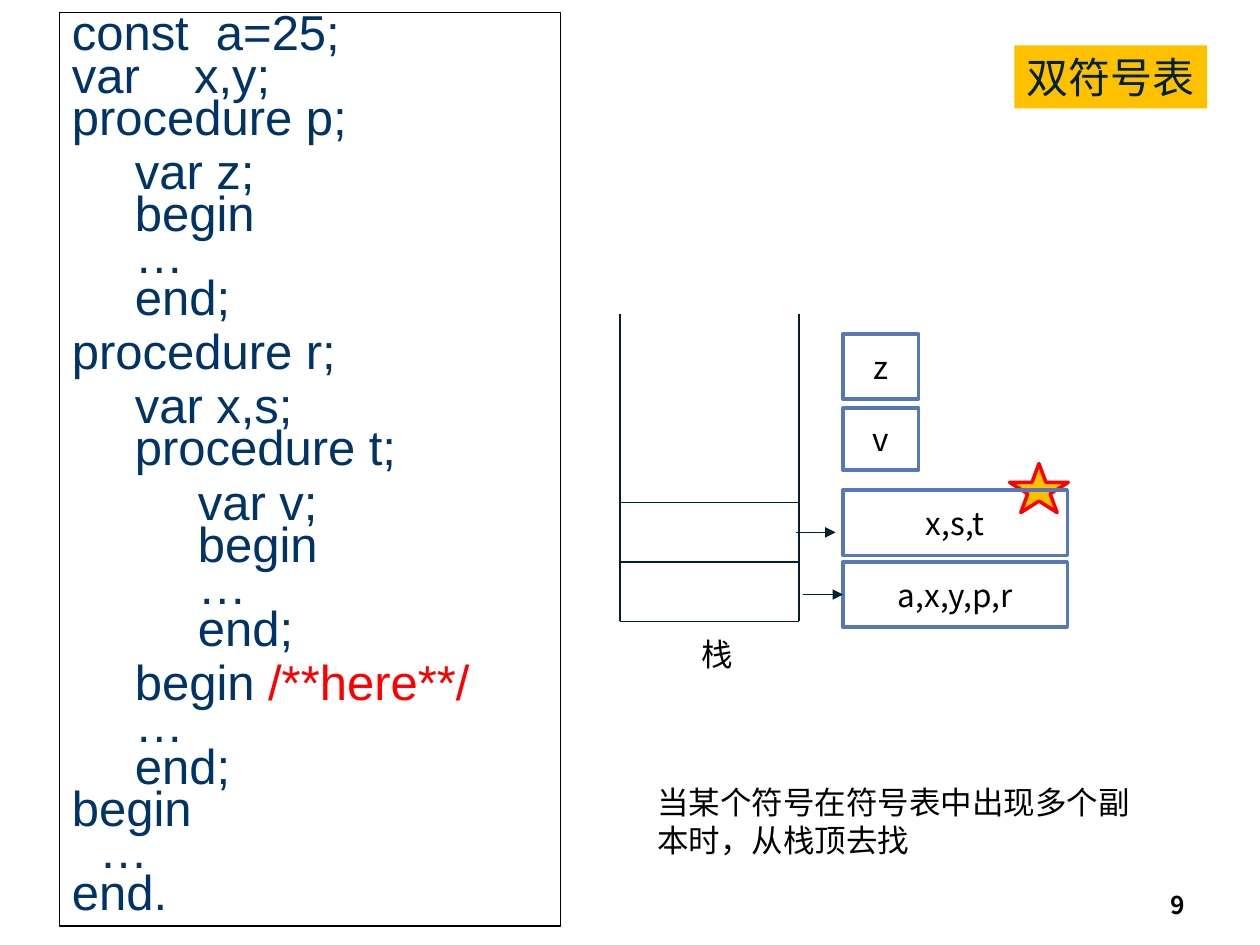
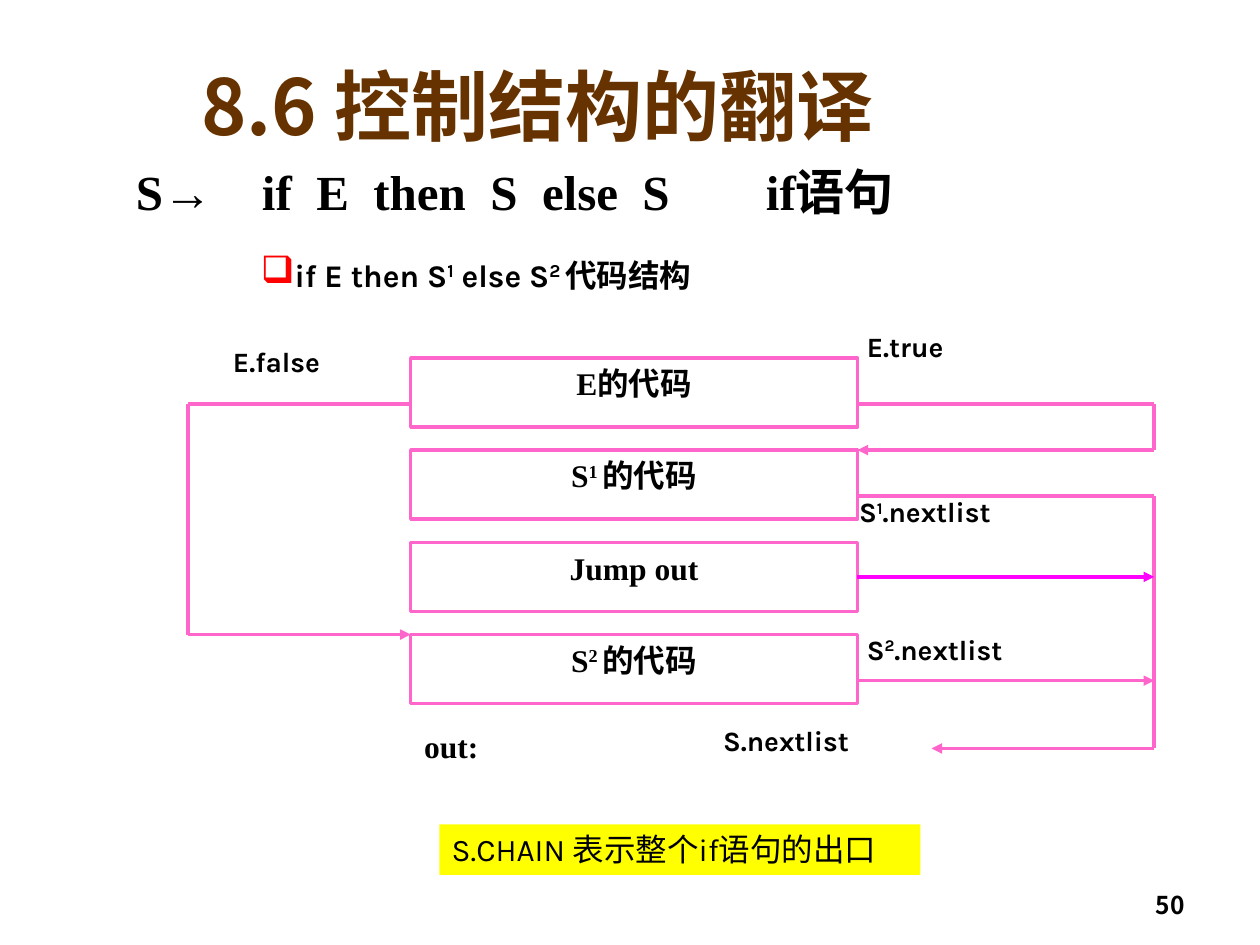
from lxml.etree import SubElement
from pptx import Presentation
from pptx.dml.color import RGBColor
from pptx.enum.shapes import MSO_CONNECTOR, MSO_SHAPE
from pptx.enum.text import MSO_ANCHOR as Anchor, PP_ALIGN as Align
from pptx.oxml.ns import qn
from pptx.util import Pt

# Shared colours and fonts
BLACK, WHITE, RED = "000000", "FFFFFF", "FF0000"
NAVY, INK, BLUE, GOLD = "003366", "00212E", "5677BC", "FFC000"
BROWN, PINK, MAGENTA, YELLOW = "663300", "FF66CC", "FF00FF", "FFFF00"
CJK, KARLA, ARIAL, TIMES = "Noto Sans CJK SC", "Karla", "Arial", "Times New Roman"

CODE = [
    "const  a=25;\nvar    x,y;\nprocedure p;",
    "\tvar z;\n\tbegin\n\t…\n\tend;",
    "procedure r;",
    "\tvar x,s;\n\tprocedure t;",
    "\t\tvar v;\n\t\tbegin\n\t\t…\n\t\tend;",
    "\tbegin ^/**here**/^\n\t…\n\tend;\nbegin\n  …\nend.",
]


def rgb(value):
    return RGBColor.from_string(value)


def write(shape, paragraphs, size, font=KARLA, color=BLACK, bold=False,
          align=Align.LEFT, anchor=Anchor.TOP, wrap=True, mark_color=None):
    """Text between ^ signs takes mark_color, or is raised when there is none."""
    frame = shape.text_frame
    frame.word_wrap = wrap
    frame.vertical_anchor = anchor
    for index, text in enumerate(paragraphs):
        paragraph = frame.add_paragraph() if index else frame.paragraphs[0]
        paragraph.alignment = align
        for line_number, line in enumerate(text.split("\n")):
            if line_number:
                paragraph.add_line_break()
            for position, piece in enumerate(line.split("^")):
                if not piece:
                    continue
                run = paragraph.add_run()
                run.text = piece
                marked = position % 2 == 1
                run.font.size = Pt(size)
                run.font.bold = bold
                run.font.name = font
                run.font.color.rgb = rgb(mark_color if marked and mark_color else color)
                properties = run._r.get_or_add_rPr()
                if marked and not mark_color:
                    properties.set("baseline", "30000")
                SubElement(properties, qn("a:ea")).set("typeface", CJK)
    return shape


def add_text(slide, box, text, size, **style):
    shape = slide.shapes.add_textbox(*map(Pt, box))
    return write(shape, [text], size, **style)


def add_box(slide, box, fill=None, line=None, width=2, kind=MSO_SHAPE.RECTANGLE):
    shape = slide.shapes.add_shape(kind, *map(Pt, box))
    shape.shadow.inherit = False
    if fill:
        shape.fill.solid()
        shape.fill.fore_color.rgb = rgb(fill)
    else:
        shape.fill.background()
    if line:
        shape.line.color.rgb = rgb(line)
        shape.line.width = Pt(width)
    else:
        shape.line.fill.background()
    return shape


def add_line(slide, x1, y1, x2, y2, color, width, arrow=False):
    line = slide.shapes.add_connector(MSO_CONNECTOR.STRAIGHT, *map(Pt, (x1, y1, x2, y2)))
    line.line.color.rgb = rgb(color)
    line.line.width = Pt(width)
    if arrow:
        SubElement(line.line._get_or_add_ln(), qn("a:tailEnd")).set("type", "triangle")
    SubElement(line._element.spPr, qn("a:effectLst"))
    return line


def add_slide(presentation, number):
    slide = presentation.slides.add_slide(presentation.slide_layouts[6])
    add_text(slide, (516, 492, 168, 37), number, 14, font=CJK, bold=True,
             align=Align.RIGHT, anchor=Anchor.BOTTOM)
    return slide


def add_code(slide, box):
    listing = add_box(slide, box, line=BLACK, width=0.75)
    write(listing, CODE, 28, font=ARIAL, color=NAVY, mark_color=RED)
    for index, paragraph in enumerate(listing.text_frame.paragraphs):
        paragraph.line_spacing = Pt(24)
        if index:
            paragraph.space_before = Pt(7)


def add_stack(slide, box):
    left, top, width, height = box
    right, bottom, cell = left + width, top + height, 33.85

    # Open-topped stack with two cells
    for x in (left, right):
        add_line(slide, x, top, x, bottom, INK, 0.75)
    for level in range(3):
        y = bottom - level * cell
        add_line(slide, left, y, right, y, INK, 0.75)
    add_text(slide, (left + 39.5, bottom + 4.3, 32.4, 28.8), "栈", 18, wrap=False)

    # Symbol tables, with the star behind the current one
    add_box(slide, (right + 120.4, top + 85.7, 33.6, 28), GOLD, RED,
            kind=MSO_SHAPE.STAR_5_POINT)
    tables = [("z", 11.5, 43.2, 37.4), ("v", 54, 43.2, 35.3),
              ("x,s,t", 100.8, 128.2, 37.4), ("a,x,y,p,r", 141.8, 128.2, 37.4)]
    for symbols, offset, table_width, table_height in tables:
        table = add_box(slide, (right + 25.2, top + offset, table_width, table_height),
                        line=BLUE)
        write(table, [symbols], 18, font=CJK, align=Align.CENTER, anchor=Anchor.MIDDLE)

    # Pointers from the cells
    add_line(slide, right - 1.5, bottom - 1.5 * cell, right + 21, bottom - 1.5 * cell,
             INK, 0.75, arrow=True)
    y = top + 160.5
    pointer = add_line(slide, right + 2.2, y, right + 25.2, y, INK, 0.75, arrow=True)
    pointer.end_connect(table, 1)


def add_symbol_table_slide(presentation):
    slide = add_slide(presentation, "9")
    add_code(slide, (34, 7.2, 286.5, 522))
    add_stack(slide, (354.25, 179.25, 102.25, 175.75))
    add_text(slide, (368.6, 444.2, 294.5, 50.4),
             "当某个符号在符号表中出现多个副本时，从栈顶去找", 18)
    heading = add_box(slide, (579.6, 26, 110.2, 36), fill=GOLD)
    write(heading, ["双符号表"], 24, color=INK, wrap=False)


def add_flow(slide, box):
    left, top, width, height = box
    right, bottom = left + width, top + height
    pitch, block_left, block_right = 52.7, left + 127.4, left + 382.7

    # Code blocks
    blocks = []
    for row, text in enumerate(["E的代码", "S^1 ^的代码", "Jump out", "S^2 ^的代码"]):
        block = add_box(slide, (block_left, top + row * pitch,
                                block_right - block_left, 39.5), WHITE, PINK)
        blocks.append(write(block, [text], 18, font=TIMES, bold=True, align=Align.CENTER))

    # Jumps: each route is a chain of points, with an arrow on its last leg
    def level(rows):
        return top + rows * pitch

    routes = [
        [(block_left, level(0.5)), (left, level(0.5)),
         (left, level(3)), (block_left, level(3))],
        [(block_right, level(0.5)), (right, level(0.5)),
         (right, level(1)), (block_right, level(1))],
        [(block_right, level(1.5)), (right, level(1.5)),
         (right, bottom), (left + 425, bottom)],
        [(block_right, level(3.5)), (right, level(3.5))],
    ]
    for route in routes:
        for start, end in zip(route, route[1:]):
            add_line(slide, *start, *end, PINK, 2, arrow=end == route[-1])
    y = level(2) + 19.75
    jump = add_line(slide, block_right, y, right, y, MAGENTA, 2, arrow=True)
    jump.begin_connect(blocks[2], 3)

    # Labels
    labels = [("E.false", 18.7, -11), ("E.true", 380.9, -19.6),
              ("S^1^.nextlist", 376.5, 74.7), ("S^2^.nextlist", 380.9, 153.2),
              ("S.nextlist", 298.8, 205.2)]
    for text, x, y in labels:
        add_text(slide, (left + x, top + y, 137, 27), text, 16, bold=True)
    add_text(slide, (left + 128, top + 207.3, 74, 29), "out:", 18, font=TIMES, bold=True)


def add_control_slide(presentation):
    slide = add_slide(presentation, "50")
    add_text(slide, (108, 30, 581, 60), "8.6 控制结构的翻译", 44, font=CJK,
             color=BROWN, bold=True, anchor=Anchor.MIDDLE)
    add_text(slide, (70.6, 88.6, 630, 41), "S→\tif  E  then  S  else  S\t\tif语句", 28,
             font=TIMES, bold=True)

    # Bulleted subtitle
    subtitle = add_text(slide, (142, 142.5, 290, 29),
                        "if E then S^1^ else S^2 ^代码结构", 18, bold=True)
    properties = subtitle.text_frame.paragraphs[0]._p.get_or_add_pPr()
    bullet_color = SubElement(properties, qn("a:buClr"))
    SubElement(bullet_color, qn("a:srgbClr")).set("val", RED)
    SubElement(properties, qn("a:buSzPct")).set("val", "120000")
    SubElement(properties, qn("a:buChar")).set("char", "❑")

    add_flow(slide, (107.3, 204.5, 552.2, 223.2))
    note = add_box(slide, (251, 471, 275, 29), fill=YELLOW)
    write(note, ["S.CHAIN 表示整个if语句的出口"], 18)


def main():
    presentation = Presentation()
    presentation.slide_width, presentation.slide_height = Pt(720), Pt(540)
    add_symbol_table_slide(presentation)
    add_control_slide(presentation)
    presentation.save("out.pptx")


if __name__ == "__main__":
    main()
